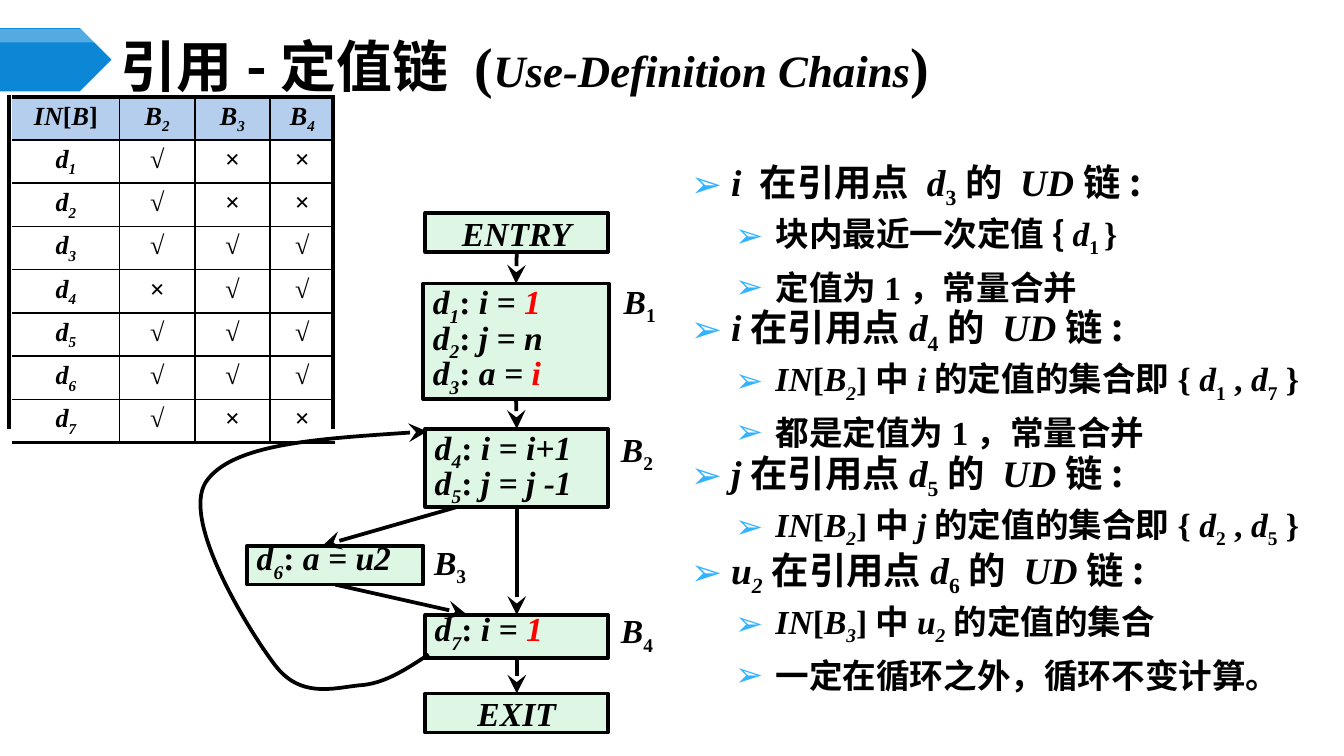
from itertools import groupby

from lxml.etree import SubElement
from pptx import Presentation
from pptx.dml.color import RGBColor
from pptx.enum.shapes import MSO_CONNECTOR, MSO_SHAPE
from pptx.enum.text import MSO_ANCHOR as ANCHOR, MSO_AUTO_SIZE, PP_ALIGN as ALIGN
from pptx.oxml.ns import qn
from pptx.util import Inches, Pt

BLACK = RGBColor(0, 0, 0)
RED = RGBColor(0xFF, 0, 0)
WHITE = RGBColor(0xFF, 0xFF, 0xFF)
BANNER_BLUE = RGBColor(0x0B, 0x87, 0xD6)
BULLET_BLUE = RGBColor(0x33, 0xB3, 0xFF)
BLOCK_GREEN = RGBColor(0xDE, 0xF6, 0xE4)
HEADER_BLUE = RGBColor(0xB5, 0xCE, 0xED)
LATIN, CJK = "Times New Roman", "Noto Sans CJK SC"

deck = Presentation()
deck.slide_width = Inches(10)
deck.slide_height = deck.slide_width * 9 // 16
UNIT = deck.slide_width // 100  # square grid, 100 columns across


def grid(*cells):
    return [round(cell * UNIT) for cell in cells]


def write(frame, lines, size, anchor=ANCHOR.TOP, align=ALIGN.LEFT, spacing=None,
          insets=(0.7, 0.4, 0.7, 0.4)):
    """Fill a frame; / toggles italic, ~ the CJK font, # red, and _ lowers one character."""
    frame.word_wrap = True
    frame.auto_size = MSO_AUTO_SIZE.NONE
    frame.vertical_anchor = anchor
    (frame.margin_left, frame.margin_top,
     frame.margin_right, frame.margin_bottom) = grid(*insets)
    frame.text = "\n".join(lines)
    for paragraph in frame.paragraphs:
        marked, active, styled = paragraph.text, set(), []
        paragraph.clear()
        paragraph.alignment = align
        paragraph.line_spacing = spacing
        paragraph.space_before = paragraph.space_after = Pt(0)
        for char in marked:
            if char in "/~#":
                active ^= {char}
            elif char == "_":
                active.add(char)
            else:
                styled.append((char, frozenset(active)))
                active.discard("_")
        for style, pieces in groupby(styled, key=lambda piece: piece[1]):
            run = paragraph.add_run()
            run.text = "".join(char for char, _ in pieces)
            run.font.size, run.font.bold, run.font.italic = Pt(size), True, "/" in style
            run.font.color.rgb = RED if "#" in style else BLACK
            run.font.name = CJK if "~" in style else LATIN
            props = run.font._element
            SubElement(props, qn("a:ea"), typeface=CJK)
            if "_" in style:
                props.set("baseline", "-25000")


slide = deck.slides.add_slide(deck.slide_layouts[1])
shapes = slide.shapes

# Title with its banner
for top, height, color in ((2.1, 4.7, BANNER_BLUE), (2.15, 1, WHITE)):
    banner = shapes.add_shape(MSO_SHAPE.PENTAGON, *grid(0, top, 8.3, height))
    banner.shadow.inherit = False
    banner.fill.solid()
    banner.fill.fore_color.rgb = color
    banner.line.fill.background()
gloss = banner._element.spPr.find(qn("a:solidFill"))
SubElement(gloss[0], qn("a:alpha"), val="30000")

title = shapes.title
title.left, title.top, title.width, title.height = grid(8.3, 2.9, 86.7, 3.9)
write(title.text_frame, ["~引用-定值链 ~(/Use-Definition Chains/)"], 30, ANCHOR.MIDDLE)
for run in title.text_frame.paragraphs[0].runs:
    if run.font.italic:
        run.font.size = Pt(24)

# Use-definition chains
chains = [
    (0, "/i /~在引用点 ~/d/_3~的~/ UD/~链:~"),
    (1, "~块内最近一次定值{ ~/d/_1_ }"),
    (1, "~定值为~1~，常量合并~"),
    (0, "/i/~在引用点~/d/_4~的~/ UD/~链:~"),
    (1, "/IN/[/B_2/]中/i/的定值的集合~即~{ /d/_1 , /d/_7 }"),
    (1, "~都是定值为~1~，常量合并~"),
    (0, "/j/~在引用点~/d/_5~的~/ UD/~链:~"),
    (1, "/IN/[/B_2/]中/j/的定值的集合~即~{ /d/_2 , /d/_5 }"),
    (0, "/u_2/~在引用点~/d/_6~的~/ UD/~链:~"),
    (1, "/IN/[/B_3/]中/u_2/的定值的集合"),
    (1, "一定在循环之外，循环不变计算。"),
]
body = slide.placeholders[1]
body.left, body.top, body.width, body.height = grid(50.7, 11.6, 47.1, 40.5)
write(body.text_frame, [line for _, line in chains], 20, spacing=Pt(26))
for paragraph, (level, _) in zip(body.text_frame.paragraphs, chains):
    paragraph.level = level
    props = paragraph._p.get_or_add_pPr()
    margin, hanging = grid(3 + 3.3 * level, 3)
    props.set("marL", str(margin))
    props.set("indent", str(-hanging))
    SubElement(SubElement(props, qn("a:buClr")), qn("a:srgbClr"), val=str(BULLET_BLUE))
    SubElement(props, qn("a:buChar"), char="➢")
    for run in paragraph.runs:
        run.font.size = Pt(20 - 2 * level)

# Flow graph: blocks
CODE = dict(spacing=Pt(19), insets=(0.7, 0.6, 0.7, 0))
ONE_LINE = dict(spacing=Pt(19), insets=(0.7, 0, 0, 0), anchor=ANCHOR.MIDDLE)
TERMINAL = dict(spacing=0.7, insets=(0.7, 0.3, 0.7, 0), anchor=ANCHOR.BOTTOM, align=ALIGN.CENTER)
blocks = {}
for name, place, lines, layout in (
    ("ENTRY", (31.65, 15.85, 13.6, 2.9), ["/ENTRY"], TERMINAL),
    ("B1", (31.5, 21.1, 13.8, 8.6),
     ["/d_1/: /i = #1", "/d_2/: /j = n", "/d_3/: /a = #i"], CODE),
    ("B2", (31.65, 31.9, 13.6, 5.8), ["/d_4/: /i = i+1", "/d_5/: /j = j -1"], CODE),
    ("B3", (18.4, 40.6, 13.1, 2.9), ["/d_6/: /a = u2"], ONE_LINE),
    ("B4", (31.65, 45.75, 13.6, 3.2), ["/d_7/: /i = #1"], ONE_LINE),
    ("EXIT", (31.65, 51.6, 13.6, 2.9), ["/EXIT"], TERMINAL),
):
    block = blocks[name] = shapes.add_shape(MSO_SHAPE.RECTANGLE, *grid(*place))
    block.shadow.inherit = False
    block.fill.solid()
    block.fill.fore_color.rgb = BLOCK_GREEN
    block.line.color.rgb, block.line.width = BLACK, Pt(2)
    write(block.text_frame, lines, 18, **layout)

for number, left, top in ((1, 45.7, 20.5), (2, 45.5, 31.5), (3, 31.6, 39.9), (4, 45.5, 45)):
    label = shapes.add_textbox(*grid(left, top, 6.7, 3.3))
    write(label.text_frame, [f"/B/_{number}"], 18)

# Table of definitions reaching each block
reaching = ["√××", "√××", "√√√", "×√√", "√√√", "√√√", "√××"]
rows = [["/IN/[/B/]", "/B_2", "/B_3", "/B_4"]]
rows += [[f"/d_{number}", *marks] for number, marks in enumerate(reaching, 1)]
table = shapes.add_table(len(rows), 4, *grid(0.9, 7.2, 24, 24)).table
table.first_row = table.horz_banding = False
for column, width in zip(table.columns, grid(8, 5.6, 5.6, 4.8)):
    column.width = width
for r, row in enumerate(rows):
    table.rows[r].height = grid(3)[0]
    for c, text in enumerate(row):
        cell = table.cell(r, c)
        write(cell.text_frame, [text], 14, align=ALIGN.CENTER)
        (cell.margin_left, cell.margin_top,
         cell.margin_right, cell.margin_bottom) = grid(0.7, 0.38, 0.7, 0.38)
        widths = {"L": 1 if c else 0, "R": 1 if c < 3 else 0,
                  "T": 1 if r else 2.25, "B": 1 if r < len(rows) - 1 else 2.25}
        props = cell._tc.get_or_add_tcPr()
        for side, width in widths.items():
            border = SubElement(props, qn(f"a:ln{side}"), w=str(Pt(width)))
            if width:
                SubElement(SubElement(border, qn("a:solidFill")), qn("a:srgbClr"), val=str(BLACK))
            else:
                SubElement(border, qn("a:noFill"))
        if r:
            cell.fill.background()
        else:
            cell.fill.solid()
            cell.fill.fore_color.rgb = HEADER_BLUE

# Flow graph: arrows, and the two side rules of the table
edges = []
for ends, source, target in (
    ((38.4, 18.7, 38.4, 21.1), "ENTRY", "B1"),
    ((38.4, 29.7, 38.4, 31.9), "B1", "B2"),
    ((38.4, 37.7, 38.4, 45.7), "B2", "B4"),
    ((38.4, 48.9, 38.4, 51.6), "B4", "EXIT"),
    ((34.1, 37.7, 24, 40.6), None, None),
    ((24.9, 43.5, 34.7, 45.7), "B3", None),
    ((0.7, 7.1, 0.7, 31.9), None, None),
    ((24.8, 7.2, 24.8, 31.9), None, None),
):
    edge = shapes.add_connector(MSO_CONNECTOR.STRAIGHT, *grid(*ends))
    if source:
        edge.begin_connect(blocks[source], 2)
    if target:
        edge.end_connect(blocks[target], 0)
    edges.append(edge)

# Back edge from B4 to B2: a start point and three Bézier segments
start, *controls = [grid(x, y) for x, y in (
    (31.9, 48.7), (30.2, 49.8), (28.6, 50.9), (26.7, 51), (24.8, 51.2), (22.3, 52),
    (20.4, 49.4), (18.5, 46.9), (13.5, 38.8), (15.3, 35.9), (17.2, 33), (24.5, 32.6),
    (31.8, 32.1))]
builder = shapes.build_freeform(*start)
builder.add_line_segments(controls, close=False)
back_edge = builder.convert_to_shape()
back_edge.fill.background()
back_edge.shadow.inherit = False
outline = back_edge._element.find(".//" + qn("a:path"))
segments = outline.findall(qn("a:lnTo"))
for first in range(0, len(segments), 3):
    curve = SubElement(outline, qn("a:cubicBezTo"))
    for segment in segments[first:first + 3]:
        curve.append(segment[0])
        outline.remove(segment)

for edge in edges + [back_edge]:
    edge.line.color.rgb, edge.line.width = BLACK, Pt(2)
    if edge not in edges[-2:]:
        SubElement(edge.line._get_or_add_ln(), qn("a:tailEnd"), type="stealth", w="lg", len="lg")
    if edge is not back_edge:
        SubElement(edge._element.spPr, qn("a:effectLst"))

deck.save("out.pptx")
